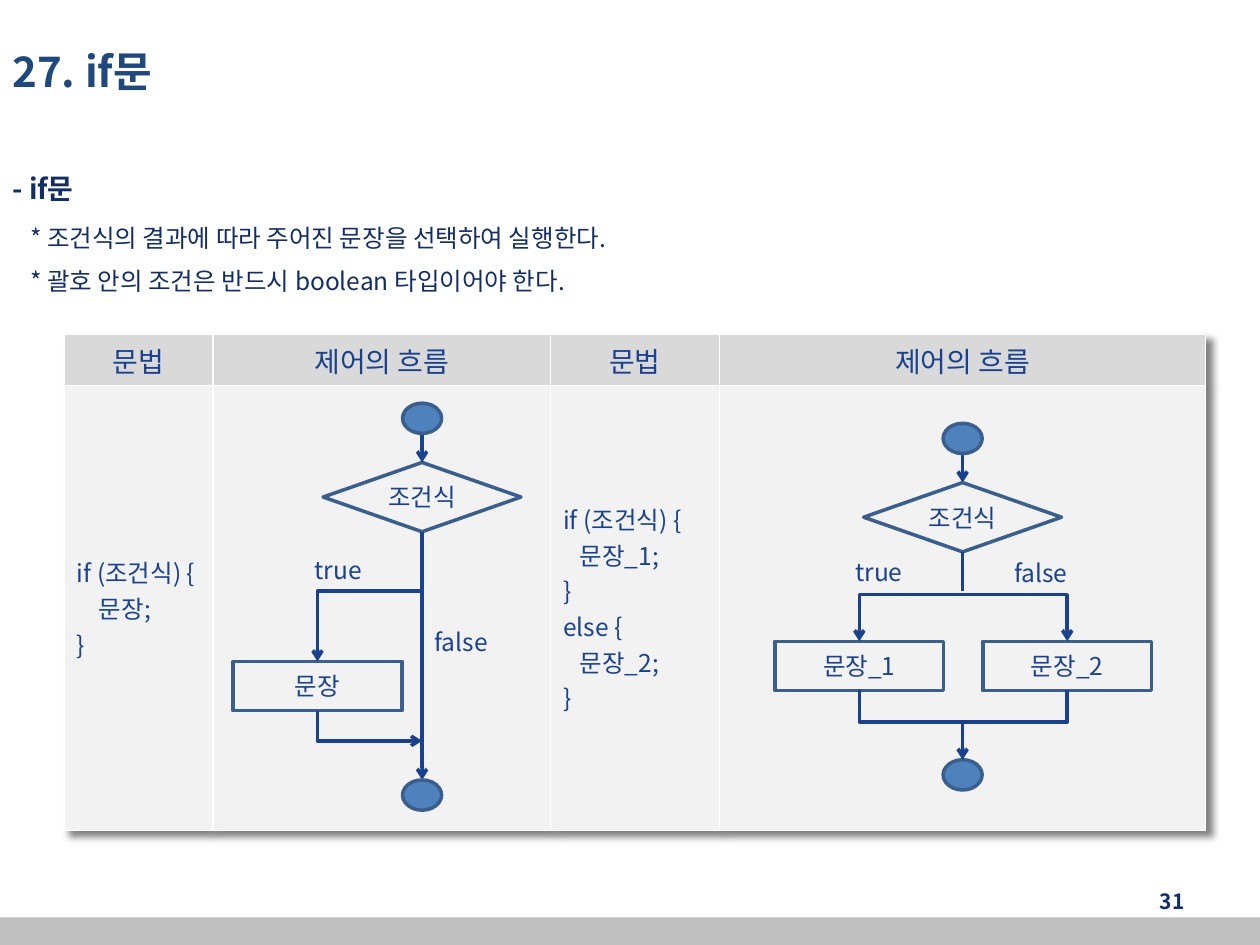
from lxml import etree
from pptx import Presentation
from pptx.dml.color import RGBColor
from pptx.enum.shapes import MSO_CONNECTOR, MSO_SHAPE
from pptx.enum.text import MSO_ANCHOR, PP_ALIGN
from pptx.oxml import parse_xml
from pptx.oxml.ns import nsdecls, qn
from pptx.util import Inches, Pt

LEFT, CENTER, RIGHT = PP_ALIGN.LEFT, PP_ALIGN.CENTER, PP_ALIGN.RIGHT
TOP, MIDDLE = MSO_ANCHOR.TOP, MSO_ANCHOR.MIDDLE
RECT, DIAMOND = MSO_SHAPE.RECTANGLE, MSO_SHAPE.DIAMOND
CIRCLE = MSO_SHAPE.FLOWCHART_CONNECTOR
STRAIGHT = MSO_CONNECTOR.STRAIGHT

FONT = "Noto Sans CJK KR"
NAVY, TITLE, BLUE = "132E66", "1F497D", "1A418E"
OUTLINE, NODE = "3A5F8C", "4F81BD"
HEADER, PANEL, FOOTER, WHITE = "D9D9D9", "F2F2F2", "BFBFBF", "FFFFFF"

NODE_W, NODE_H = 0.31, 0.24
DECISION_W, DECISION_H = 1.57, 0.55
STEP_W, STEP_H = 1.34, 0.39


def rgb(value):
    return RGBColor.from_string(value)


def write(frame, text, size=14, color=BLUE, bold=False, font=FONT,
          align=LEFT, indent=0, before=0, new=False):
    """Write each line of text as one paragraph of the frame."""
    for number, line in enumerate(text.split("\n")):
        fresh = new or number > 0
        paragraph = frame.add_paragraph() if fresh else frame.paragraphs[0]
        paragraph.alignment = align
        if indent:
            paragraph._p.get_or_add_pPr().set("marL", str(Inches(indent)))
        if before:
            paragraph.space_before = Pt(before)
        run = paragraph.add_run()
        run.text = line
        run.font.size = Pt(size)
        run.font.bold = bold
        run.font.color.rgb = rgb(color)
        run.font.name = font
        east_asian = etree.SubElement(run._r.get_or_add_rPr(), qn("a:ea"))
        east_asian.set("typeface", FONT)


class Board:
    """Holds the slide, the shapes being added to and the line style."""

    line_width = Pt(2)

    def __init__(self, slide):
        self.slide = slide
        self.shapes = slide.shapes

    def start_group(self):
        self.shapes = self.slide.shapes.add_group_shape().shapes

    def text(self, x, y, w, h, text, anchor=TOP, **style):
        box = self.shapes.add_textbox(Inches(x), Inches(y), Inches(w), Inches(h))
        frame = box.text_frame
        frame.word_wrap = True
        frame.vertical_anchor = anchor
        write(frame, text, **style)
        return frame

    def shape(self, kind, x, y, w, h, fill=None, line=OUTLINE, text=None):
        shape = self.shapes.add_shape(kind, Inches(x), Inches(y), Inches(w), Inches(h))
        shape.shadow.inherit = False
        if fill:
            shape.fill.solid()
            shape.fill.fore_color.rgb = rgb(fill)
        else:
            shape.fill.background()
        if line:
            shape.line.color.rgb = rgb(line)
            shape.line.width = self.line_width
        else:
            shape.line.fill.background()
        if text:
            frame = shape.text_frame
            frame.margin_left = frame.margin_right = 0
            frame.margin_top = frame.margin_bottom = 0
            frame.vertical_anchor = MIDDLE
            write(frame, text, align=CENTER)

    def node(self, center, y):
        self.shape(CIRCLE, center - NODE_W / 2, y, NODE_W, NODE_H, fill=NODE)

    def decision(self, center, y):
        self.shape(DIAMOND, center - DECISION_W / 2, y, DECISION_W, DECISION_H,
                   text="조건식")

    def step(self, center, y, text):
        self.shape(RECT, center - STEP_W / 2, y, STEP_W, STEP_H, text=text)

    def style_line(self, line, ends):
        line.color.rgb = rgb(BLUE)
        line.width = self.line_width
        for end in ends:
            etree.SubElement(line._get_or_add_ln(), qn(f"a:{end}")).set("type", "arrow")

    def down(self, x, y1, y2, arrow=True):
        link = self.shapes.add_connector(
            STRAIGHT, Inches(x), Inches(y1), Inches(x), Inches(y2))
        self.style_line(link.line, ["tailEnd"] if arrow else [])
        etree.SubElement(link._element.spPr, qn("a:effectLst"))

    def route(self, points, ends=()):
        start, *rest = [(Inches(x), Inches(y)) for x, y in points]
        builder = self.shapes.build_freeform(*start)
        builder.add_line_segments(rest, close=False)
        path = builder.convert_to_shape()
        path.shadow.inherit = False
        path.fill.background()
        self.style_line(path.line, ends)

    def cell(self, cell, text, fill, anchor, **style):
        cell.fill.solid()
        cell.fill.fore_color.rgb = rgb(fill)
        cell.vertical_anchor = anchor
        if text:
            write(cell.text_frame, text, **style)
        properties = cell._tc.get_or_add_tcPr()
        for index, side in enumerate(("lnL", "lnR", "lnT", "lnB")):
            properties.insert(index, parse_xml(
                f'<a:{side} {nsdecls("a")} w="{Pt(1)}"><a:solidFill>'
                f'<a:srgbClr val="{WHITE}"/></a:solidFill></a:{side}>'))

    def table(self, x, y, widths, heights, headings, bodies):
        table = self.shapes.add_table(
            len(heights), len(widths), Inches(x), Inches(y),
            Inches(sum(widths)), Inches(sum(heights))).table
        for row, height in zip(table.rows, heights):
            row.height = Inches(height)
        for index, width in enumerate(widths):
            table.columns[index].width = Inches(width)
            self.cell(table.cell(0, index), headings[index], HEADER, TOP,
                      size=16, font="Arial", align=CENTER)
            self.cell(table.cell(1, index), bodies[index], PANEL, MIDDLE)
        table._tbl.tblPr.insert(0, parse_xml(
            f'<a:effectLst {nsdecls("a")}><a:outerShdw blurRad="{Pt(4)}" '
            f'dist="{Pt(5)}" dir="2700000" algn="tl" rotWithShape="0">'
            '<a:srgbClr val="000000"><a:alpha val="50000"/></a:srgbClr>'
            '</a:outerShdw></a:effectLst>'))


def draw_if(board):
    main, branch = 3.35, 2.52
    board.start_group()
    board.decision(main, 3.67)
    board.step(branch, 5.25, "문장")
    board.down(main, 4.22, 6.19)
    board.down(main, 3.44, 3.67)
    board.node(main, 3.2)
    board.node(main, 6.19)
    board.text(2.4, 4.36, 0.63, 0.33, "true")
    board.text(3.35, 4.93, 0.75, 0.33, "false")
    board.route([(main, 4.69), (branch, 4.69), (branch, 5.25)], ["tailEnd"])
    board.route([(branch, 5.64), (branch, 5.88), (main, 5.88)], ["tailEnd"])


def draw_if_else(board):
    main, yes, no = 7.64, 6.82, 8.47
    board.start_group()
    board.down(main, 3.59, 3.83)
    board.text(6.69, 4.37, 0.63, 0.33, "true")
    board.text(7.95, 4.38, 0.75, 0.33, "false")
    board.decision(main, 3.83)
    board.node(main, 3.36)
    board.node(main, 6.03)
    board.step(yes, 5.09, "문장_1")
    board.step(no, 5.09, "문장_2")
    board.route([(yes, 5.09), (yes, 4.72), (no, 4.72), (no, 5.09)],
                ["headEnd", "tailEnd"])
    board.down(main, 4.38, 4.69, arrow=False)
    board.route([(yes, 5.48), (yes, 5.73), (no, 5.73), (no, 5.48)])
    board.down(main, 5.72, 6.03)


def main():
    deck = Presentation()
    deck.slide_width, deck.slide_height = Inches(10), Inches(7.5)
    board = Board(deck.slides.add_slide(deck.slide_layouts[6]))

    # Page number, title and explanation
    board.text(7.17, 6.95, 2.33, 0.4, "31", anchor=MIDDLE, size=12,
               color=NAVY, bold=True, align=RIGHT)
    board.text(0, 0.13, 7.17, 0.87, "27. if문", anchor=MIDDLE, size=24,
               color=TITLE, bold=True)
    rules = board.text(0, 1.31, 8.52, 1.46, "- if문", size=16, color=NAVY, bold=True)
    for rule, gap in (("* 조건식의 결과에 따라 주어진 문장을 선택하여 실행한다.", 10.5),
                      ("* 괄호 안의 조건은 반드시 boolean 타입이어야 한다.", 7.7)):
        write(rules, rule, color=NAVY, indent=0.14, before=gap, new=True)

    # Footer band
    board.shape(RECT, 0, 7.28, 10, 0.22, fill=FOOTER, line=None)

    # Syntax table
    board.table(0.51, 2.65, [1.18, 2.68, 1.34, 3.86], [0.41, 3.53],
                ["문법", "제어의 흐름"] * 2,
                ["if (조건식) {\n    문장;\n}", None,
                 "if (조건식) {\n   문장_1;\n}\nelse {\n   문장_2;\n}", None])

    # Flow charts
    draw_if(board)
    draw_if_else(board)

    deck.save("out.pptx")


if __name__ == "__main__":
    main()
